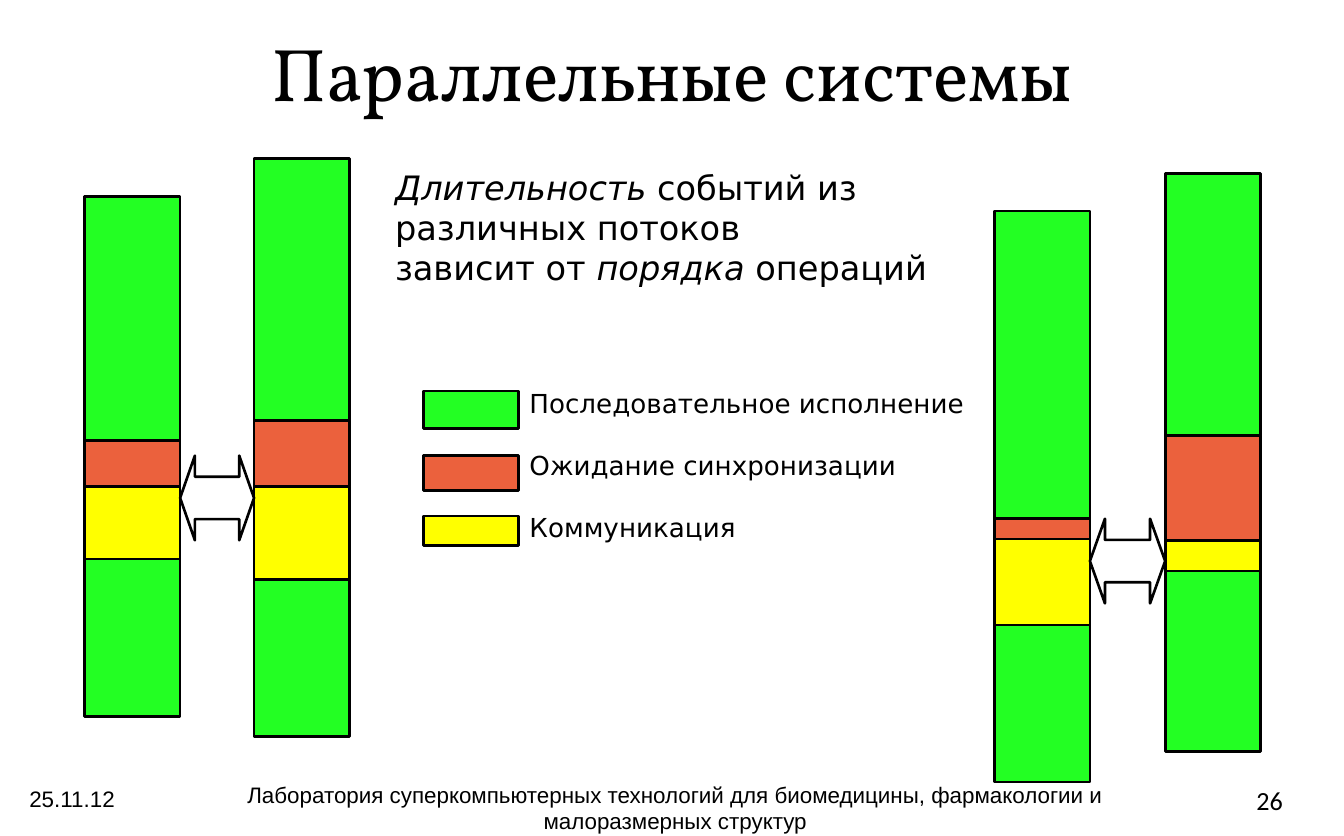
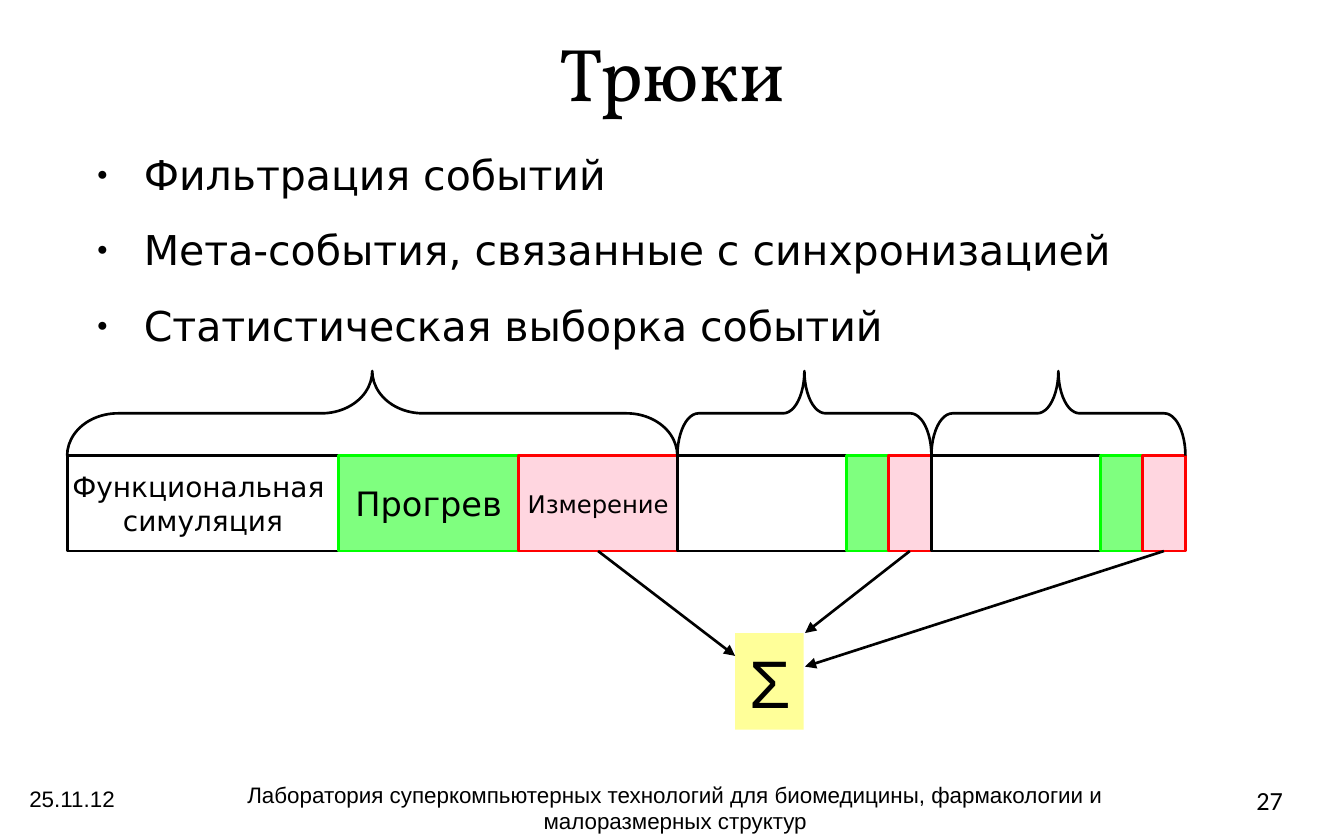
from itertools import accumulate, pairwise

from lxml import etree
from pptx import Presentation
from pptx.dml.color import RGBColor
from pptx.enum import shapes, text
from pptx.oxml import ns
from pptx.util import Inches, Pt

COLORS = {
    "ink": "000000", "paper": "FFFFFF", "run": "23FF23", "wait": "EB613D",
    "comm": "FFFF00", "warmup": "00FF00", "measure": "FF3366",
    "measure_line": "FF0000", "sum": "FFFF99",
}
BODY_FONT = "DejaVu Sans"
LINE_W = Pt(1.42)
SHAPE = shapes.MSO_SHAPE
LEFT, CENTER = text.PP_ALIGN.LEFT, text.PP_ALIGN.CENTER
TOP, MIDDLE = text.MSO_ANCHOR.TOP, text.MSO_ANCHOR.MIDDLE
INSETS = dict(margin_left=Inches(0.11), margin_right=Inches(0.11),
              margin_top=Inches(0.06), margin_bottom=Inches(0.06))
BAR_W = 0.71
PHASES = ["run", "wait", "comm", "run"]


def rgb(name):
    return RGBColor.from_string(COLORS[name])


def apply(obj, fmt):
    for name, value in fmt.items():
        setattr(obj, name, value)


def set_font(font, size, name=BODY_FONT, italic=False):
    apply(font, dict(size=Pt(size), name=name, italic=italic))
    font.color.rgb = rgb("ink")


def write(sp, paras, size, name=BODY_FONT, align=LEFT, **frame):
    tf = sp.text_frame
    apply(tf, dict(auto_size=text.MSO_AUTO_SIZE.NONE, word_wrap=True,
                   vertical_anchor=TOP) | frame)
    for i, runs in enumerate(paras):
        p = tf.paragraphs[0] if i == 0 else tf.add_paragraph()
        p.alignment = align
        for part, italic in [(runs, False)] if isinstance(runs, str) else runs:
            r = p.add_run()
            r.text = part
            set_font(r.font, size, name, italic)
    return tf


def place(sp, box):
    apply(sp, dict(zip(("left", "top", "width", "height"), map(Inches, box))))


def add_box(s, kind, box, fill=None, line="ink", alpha=None):
    sp = s.shapes.add_shape(kind, *map(Inches, box))
    sp.shadow.inherit = False
    if fill:
        sp.fill.solid()
        sp.fill.fore_color.rgb = rgb(fill)
    else:
        sp.fill.background()
    if alpha:
        color = sp._element.spPr.find(ns.qn("a:solidFill"))[0]
        etree.SubElement(color, ns.qn("a:alpha"), val=str(alpha * 1000))
    if line:
        sp.line.color.rgb = rgb(line)
        sp.line.width = LINE_W
    else:
        sp.line.fill.background()
    return sp


def add_arrow(s, source, end):
    c = s.shapes.add_connector(shapes.MSO_CONNECTOR.STRAIGHT, 0, 0, *map(Inches, end))
    c.begin_connect(source, 2)
    c.line.color.rgb = rgb("ink")
    c.line.width = LINE_W
    sp_pr = c._element.spPr
    etree.SubElement(sp_pr.find(ns.qn("a:ln")), ns.qn("a:tailEnd"), type="triangle")
    etree.SubElement(sp_pr, ns.qn("a:effectLst"))


def add_slide(prs, layout, title, number):
    s = prs.slides.add_slide(prs.slide_layouts[layout])
    place(s.shapes.title, (0.5, 0.01, 9, 1.04))
    write(s.shapes.title, [title], 40, "Vollkorn", CENTER, vertical_anchor=MIDDLE)
    footer = [
        ((0.12, 5.79, 1.1, 0.33), "25.11.12", 12, "Arial", LEFT),
        ((1.14, 5.76, 7.77, 0.33),
         "Лаборатория суперкомпьютерных технологий для биомедицины, "
         "фармакологии и малоразмерных структур", 12, "Arial", CENTER),
        ((9.25, 5.79, 0.56, 0.33), str(number), 14, "Calibri", LEFT),
    ]
    for box, words, size, font, align in footer:
        write(s.shapes.add_textbox(*map(Inches, box)), [words], size, font, align)
    return s


def add_thread_pair(s, box, left_edges, right_edges, arrow_top):
    x, y, w, _ = box
    for bar_x, edges in ((x, left_edges), (x + w - BAR_W, right_edges)):
        for phase, (top, bottom) in zip(PHASES, pairwise(edges)):
            add_box(s, SHAPE.RECTANGLE, (bar_x, y + top, BAR_W, bottom - top), phase)
    arrow = add_box(s, SHAPE.LEFT_RIGHT_ARROW,
                    (x + BAR_W, y + arrow_top, w - 2 * BAR_W, 0.63))
    arrow.adjustments[0], arrow.adjustments[1] = 0.5, 0.2


def add_legend(s, box):
    x, y, _, _ = box
    note = add_box(s, SHAPE.RECTANGLE, box, "paper", None)
    write(note, [
        [("Длительность ", True), ("событий из", False)],
        "различных потоков",
        [("зависит от ", False), ("порядка ", True), ("операций", False)],
    ], 18, **INSETS | dict(margin_right=0))
    labels = ["Последовательное исполнение", "Ожидание синхронизации", "Коммуникация"]
    for i, label in enumerate(labels):
        p = note.text_frame.add_paragraph()
        p.alignment = LEFT
        p.space_before = Pt(16.3 if i else 53.6)
        p._p.get_or_add_pPr().set("marL", str(Inches(1)))
        r = p.add_run()
        r.text = label
        set_font(r.font, 14)
    for phase, top, h in zip(PHASES, (1.73, 2.21, 2.66), (0.28, 0.26, 0.22)):
        add_box(s, SHAPE.RECTANGLE, (x + 0.32, y + top, BAR_W, h), phase)


def add_bullets(s, box, items):
    body = s.placeholders[1]
    place(body, box)
    body.fill.solid()
    body.fill.fore_color.rgb = rgb("paper")
    tf = write(body, items, 22)
    for p in tf.paragraphs:
        p_pr = p._p.get_or_add_pPr()
        p_pr.set("marL", str(Inches(0.47)))
        p_pr.set("indent", str(Inches(-0.35)))
        color = etree.SubElement(p_pr, ns.qn("a:buClr"))
        etree.SubElement(color, ns.qn("a:srgbClr"), val=COLORS["ink"])
        etree.SubElement(p_pr, ns.qn("a:buSzPct"), val="45000")
        etree.SubElement(p_pr, ns.qn("a:buChar"), char="●")
        apply(p, dict(space_before=Pt(0), space_after=Pt(14.1)))


def add_interval(s, box, widths, labels=()):
    x, y, w, h = box
    styles = [("paper", "ink", None), ("warmup", "warmup", 50),
              ("measure", "measure_line", 20)]
    segments = [
        add_box(s, SHAPE.RECTANGLE, (x + left, y, width, h), fill, line, alpha)
        for left, width, (fill, line, alpha)
        in zip(accumulate(widths, initial=0), widths, styles)
    ]
    for sp, (lines, size) in zip(segments, labels):
        write(sp, lines, size, align=CENTER, word_wrap=False,
              vertical_anchor=MIDDLE, **INSETS)
    depth = 0.63
    brace = add_box(s, SHAPE.RIGHT_BRACE,
                    (x + (w - depth) / 2, y - (depth + w) / 2, depth, w))
    brace.rotation = 270
    brace.adjustments[0] = w / 12 / depth
    return segments[-1]


def add_sampling(s, box):
    x, y, _, h = box
    long_widths, short_widths = (2.02, 1.34, 1.18), (1.26, 0.31, 0.32)
    labels = [(["Функциональная ", "симуляция"], 15), (["Прогрев"], 18),
              (["Измерение"], 13)]
    groups = [(long_widths, labels), (short_widths, ()), (short_widths, ())]
    starts = accumulate((sum(widths) for widths, _ in groups), initial=x)
    measures = [add_interval(s, (start, y, sum(widths), h), widths, names)
                for start, (widths, names) in zip(starts, groups)]
    total = add_box(s, SHAPE.RECTANGLE, (x + 4.97, y + 1.32, 0.51, 0.72), "sum", None)
    write(total, ["Σ"], 36, "Arial", word_wrap=False, **INSETS)
    for measure, (dx, dy) in zip(measures, ((4.97, 1.49), (5.49, 1.32), (5.49, 1.57))):
        add_arrow(s, measure, (x + dx, y + dy))


def main():
    prs = Presentation()
    apply(prs, dict(slide_width=Inches(10), slide_height=Inches(6.22)))

    s = add_slide(prs, 5, "Параллельные системы", 26)
    add_legend(s, (2.83, 1.18, 4.46, 3.85))
    add_thread_pair(s, (0.63, 1.18, 1.97, 4.3), (0.28, 2.1, 2.44, 2.98, 4.15),
                    (0, 1.95, 2.44, 3.13, 4.3), 2.21)
    add_thread_pair(s, (7.4, 1.29, 1.98, 4.53), (0.28, 2.57, 2.72, 3.36, 4.53),
                    (0, 1.95, 2.73, 2.96, 4.3), 2.57)

    s = add_slide(prs, 1, "Трюки", 27)
    add_bullets(s, (0.5, 1.06, 9.15, 1.59), [
        "Фильтрация событий",
        "Мета-события, связанные с синхронизацией",
        "Статистическая выборка событий",
    ])
    add_sampling(s, (0.5, 3.39, 8.32, 0.71))

    prs.save("out.pptx")


if __name__ == "__main__":
    main()
